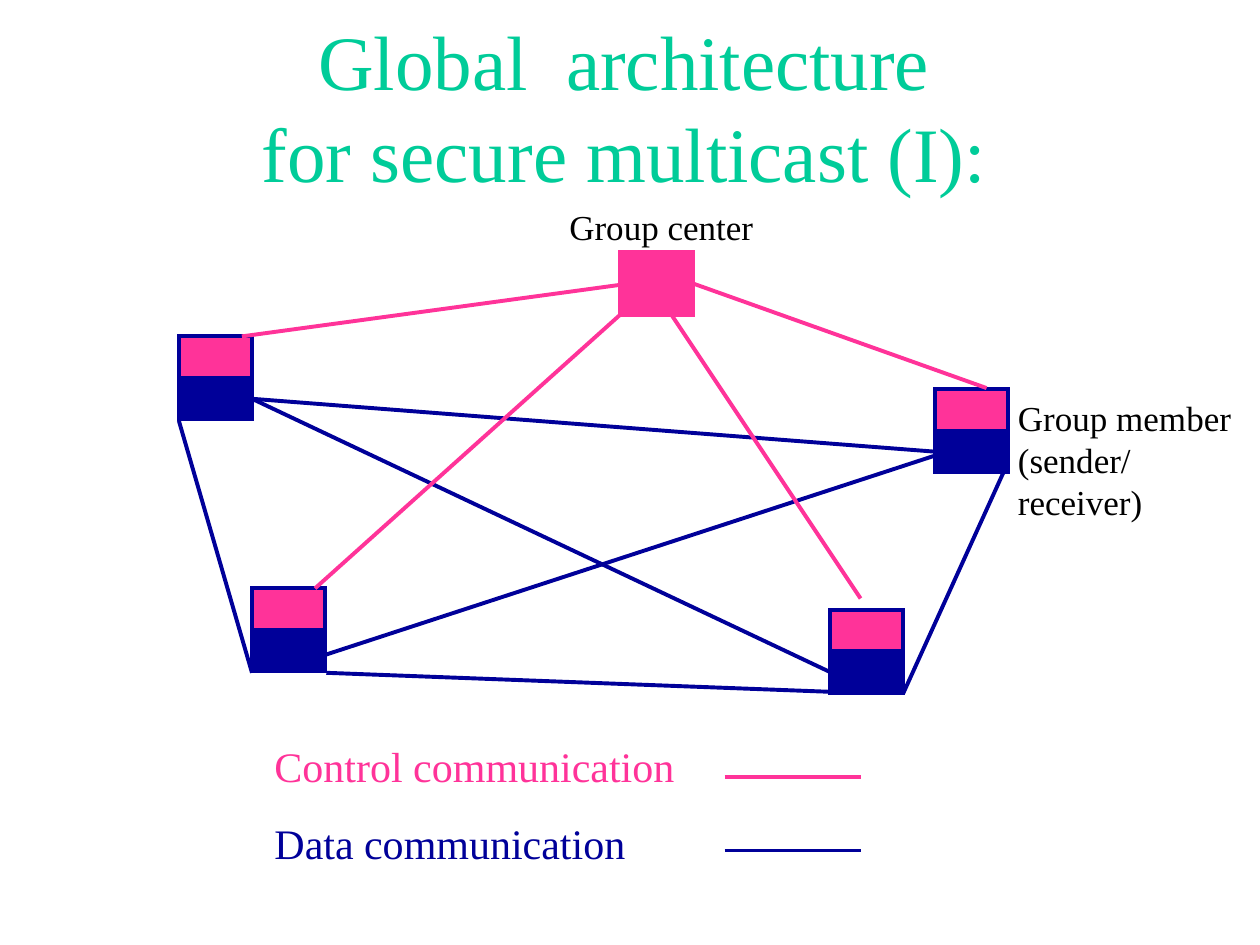
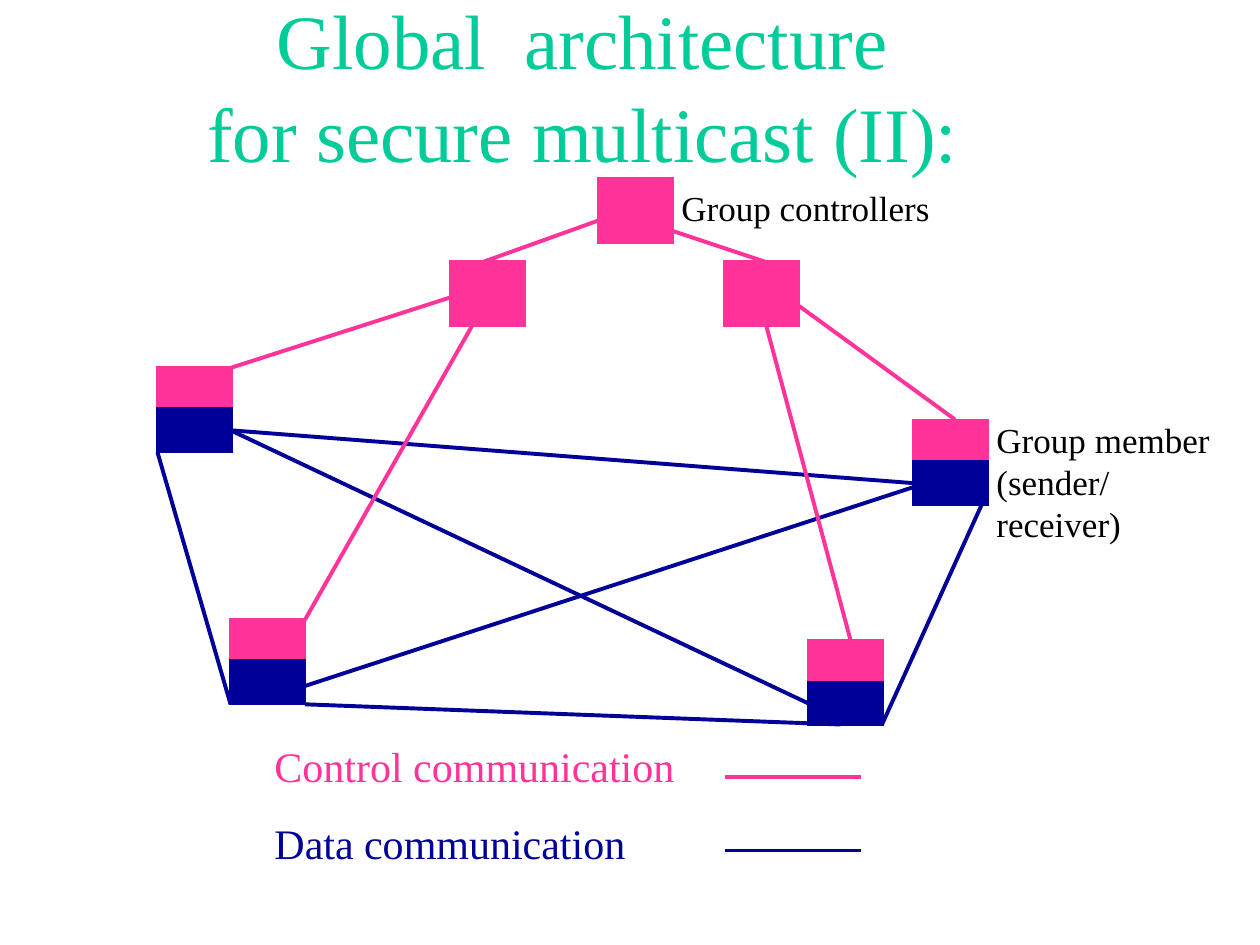
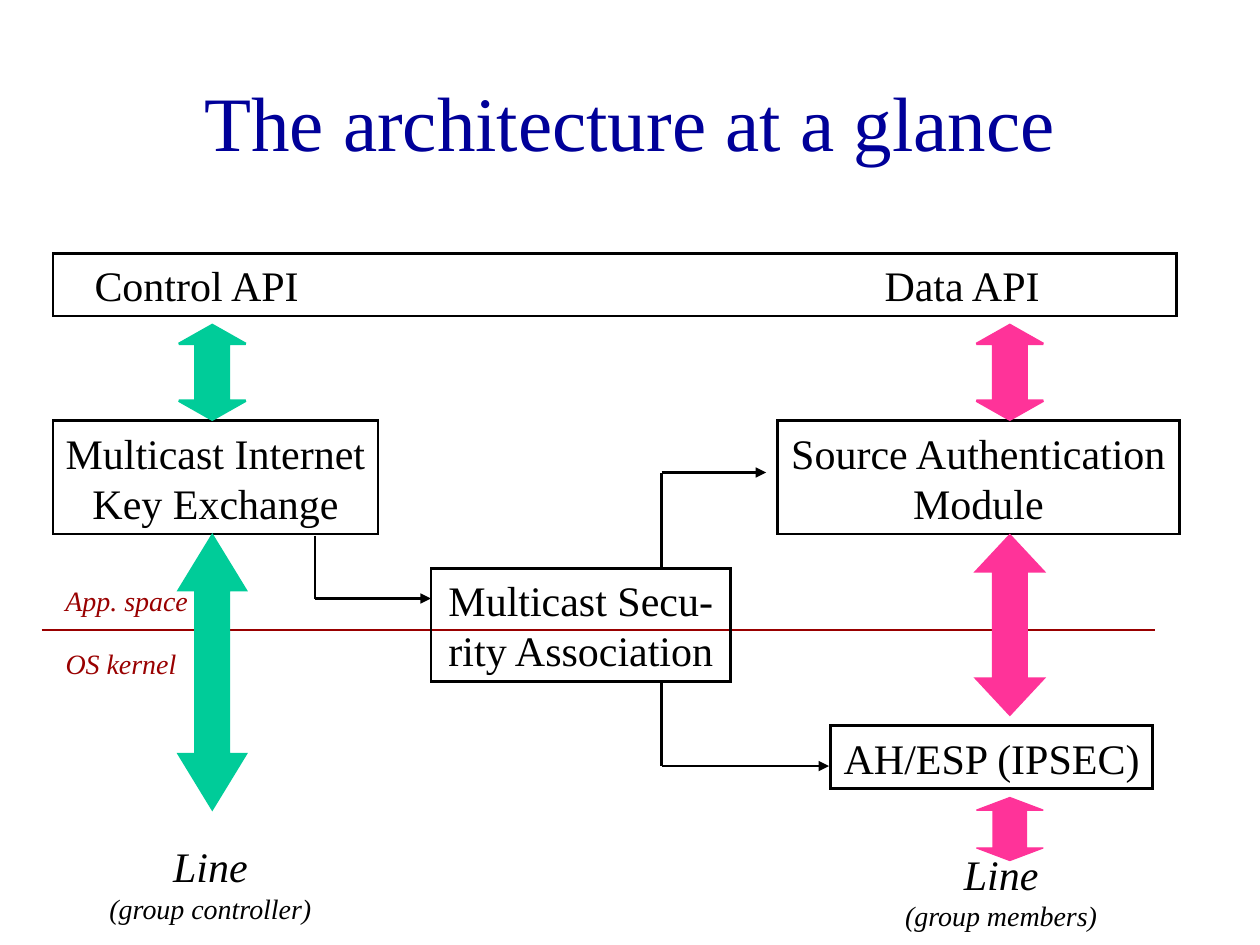
import collections
import dataclasses

import pptx
import pptx.dml.color
import pptx.enum.shapes
import pptx.enum.text
import pptx.oxml.ns
import pptx.util
import lxml.etree

Inches = pptx.util.Inches
SHAPE = pptx.enum.shapes.MSO_SHAPE
ALIGN = pptx.enum.text.PP_ALIGN
ANCHOR = pptx.enum.text.MSO_ANCHOR

# A connection site on a shape: 0 top, 1 left, 2 bottom, 3 right
Port = collections.namedtuple("Port", "shape site")


@dataclasses.dataclass(frozen=True)
class Theme:
    font: str = "Times New Roman"
    control: str = "FF3399"
    data: str = "000099"
    accent: str = "00CC99"
    boundary: str = "990000"
    ink: str = "000000"
    title_size: int = 44
    body_size: int = 24
    label_size: int = 20
    note_size: int = 16
    network_line: float = 2.25
    diagram_line: float = 1.5
    fine_line: float = 0.75


THEME = Theme()
NODE_WIDTH, NODE_HEIGHT, HALF_HEIGHT = 0.58, 0.5, 0.33


def rgb(color):
    return pptx.dml.color.RGBColor.from_string(color)


def drawing_element(parent, tag, **attributes):
    return lxml.etree.SubElement(parent, pptx.oxml.ns.qn(tag), attributes)


# ---- Shared building blocks ----

def write_text(shape, lines, size=THEME.body_size, sizes=None, color=THEME.ink,
               colors=None, italic=False, align=ALIGN.LEFT, anchor=ANCHOR.TOP,
               wrap=False, space_before=0, left_inset=0.1, bottom_inset=0.05,
               tab=None):
    """Fill a shape with one paragraph per line; sizes and colors vary by line."""
    frame = shape.text_frame
    frame.word_wrap = wrap
    if not wrap:
        frame.auto_size = pptx.enum.text.MSO_AUTO_SIZE.SHAPE_TO_FIT_TEXT
    frame.vertical_anchor = anchor
    frame.margin_left, frame.margin_right = Inches(left_inset), Inches(0.1)
    frame.margin_top, frame.margin_bottom = Inches(0.05), Inches(bottom_inset)
    for index, line in enumerate(lines):
        paragraph = frame.add_paragraph() if index else frame.paragraphs[0]
        paragraph.text = line
        paragraph.alignment = align
        if index and space_before:
            paragraph.space_before = pptx.util.Pt(space_before)
        if tab:
            tabs = drawing_element(paragraph._p.get_or_add_pPr(), "a:tabLst")
            drawing_element(tabs, "a:tab", pos=str(Inches(tab)), algn="l")
        for run in paragraph.runs:
            run.font.name = THEME.font
            run.font.size = pptx.util.Pt(sizes[index] if sizes else size)
            run.font.color.rgb = rgb(colors[index] if colors else color)
            run.font.italic = italic


def add_text(slide, box, lines, **text_format):
    shape = slide.shapes.add_textbox(*map(Inches, box))
    write_text(shape, lines, **text_format)


def add_shape(slide, kind, box, fill, line, width):
    shape = slide.shapes.add_shape(kind, *map(Inches, box))
    shape.shadow.inherit = False
    if fill:
        shape.fill.solid()
        shape.fill.fore_color.rgb = rgb(fill)
    else:
        shape.fill.background()
    shape.line.color.rgb = rgb(line)
    shape.line.width = pptx.util.Pt(width)
    # Square corners
    drawing_element(shape.line._get_or_add_ln(), "a:miter", lim="800000")
    return shape


def add_line(slide, start, end, color, width=THEME.network_line, arrow=False):
    """Draw a straight line between points or ports."""
    points = [(0, 0) if isinstance(stop, Port) else stop for stop in (start, end)]
    connector = slide.shapes.add_connector(
        pptx.enum.shapes.MSO_CONNECTOR.STRAIGHT,
        *(Inches(value) for point in points for value in point))
    if isinstance(start, Port):
        connector.begin_connect(*start)
    if isinstance(end, Port):
        connector.end_connect(*end)
    connector.line.color.rgb = rgb(color)
    connector.line.width = pptx.util.Pt(width)
    if arrow:
        drawing_element(connector.line._get_or_add_ln(), "a:tailEnd", type="triangle")
    drawing_element(connector._element.spPr, "a:effectLst")


def add_title(slide, box, text, color=THEME.accent, **text_format):
    add_text(slide, box, [text], size=THEME.title_size, color=color,
             align=ALIGN.CENTER, wrap=True, **text_format)


# ---- Multicast network ----

def add_node(slide, left, top, color, height=NODE_HEIGHT, outline=None):
    return add_shape(slide, SHAPE.FLOWCHART_PROCESS, (left, top, NODE_WIDTH, height),
                     color, outline or color, THEME.network_line)


def add_members(slide, left, top, outline):
    """Four group members joined by data lines, placed from the west member."""
    def at(x, y):
        return left + x, top + y

    data_halves = []
    for x, y in ((0, 0), (0.58, 2), (5.17, 2.17), (6, 0.42)):
        add_node(slide, *at(x, y), THEME.control, HALF_HEIGHT, outline)
        data_halves.append(
            add_node(slide, *at(x, y + HALF_HEIGHT), THEME.data, HALF_HEIGHT))
    west, _, south_east, east = data_halves
    for start, end in (
        (at(0, 0.67), at(0.58, 2.67)),
        (at(1.17, 2.67), at(5.42, 2.83)),
        (at(5.75, 2.83), at(6.58, 1)),
        (Port(west, 3), Port(east, 1)),
        (Port(west, 3), Port(south_east, 1)),
        (at(1, 2.58), at(6.08, 0.92)),
    ):
        add_line(slide, start, end, THEME.data)


def add_legend(slide, left, top):
    colors = (THEME.control, THEME.data)
    add_text(slide, (left, top, 3.75, 1.11),
             ["Control communication", "Data communication"],
             colors=colors, wrap=True, space_before=15)
    for color, offset in zip(colors, (0.34, 0.92)):
        add_line(slide, (left + 3.67, top + offset), (left + 4.75, top + offset), color)


def build_network(slide, title, title_box, members_at, outline, labels):
    # The bottom inset lifts the two title lines above the diagram
    add_title(slide, title_box, title, anchor=ANCHOR.BOTTOM, bottom_inset=0.26)
    add_members(slide, *members_at, outline)
    add_legend(slide, 2.08, 5.83)
    for box, lines in labels:
        add_text(slide, box, lines, size=THEME.label_size)


MEMBER_LABEL = ["Group member", "(sender/receiver)"]


def build_single_center(slide):
    build_network(slide, "Global  architecture\vfor secure multicast (I):",
                  (0.33, 0.58, 9.25, 1.25), (1.42, 2.67), THEME.data,
                  [((4.42, 1.58, 1.66, 0.44), ["Group center"]),
                   ((7.98, 3.1, 2.08, 0.77), MEMBER_LABEL)])
    center = add_node(slide, 4.92, 2, THEME.control)
    for start, end in (
        ((5, 2.25), (1.92, 2.67)),
        ((5.33, 2.5), (6.83, 4.75)),
        (Port(center, 3), (7.83, 3.08)),
        ((4.92, 2.5), (2.5, 4.67)),
    ):
        add_line(slide, start, end, THEME.control)


def build_controller_tree(slide):
    build_network(slide, "Global  architecture\vfor secure multicast (II):",
                  (0, 0.42, 9.25, 1.25), (1.25, 2.92), THEME.control,
                  [((5.31, 1.43, 2.17, 0.44), ["Group controllers"]),
                   ((7.81, 3.27, 2.08, 0.77), MEMBER_LABEL)])
    for left, top in ((4.75, 1.42), (3.58, 2.08), (5.75, 2.08)):
        add_node(slide, left, top, THEME.control)
    for start, end in (
        ((1.83, 2.92), (3.67, 2.33)),
        ((2.42, 4.92), (3.75, 2.58)),
        ((6.08, 2.58), (6.75, 5.08)),
        ((6.33, 2.42), (7.58, 3.33)),
        ((4.75, 1.75), (3.83, 2.08)),
        ((5.33, 1.83), (6.08, 2.08)),
    ):
        add_line(slide, start, end, THEME.control)


# ---- Architecture overview ----

def add_module(slide, box, lines, **text_format):
    shape = add_shape(slide, SHAPE.RECTANGLE, box, None, THEME.ink, THEME.diagram_line)
    options = {"align": ALIGN.CENTER, "anchor": ANCHOR.MIDDLE, **text_format}
    write_text(shape, lines, **options)


def add_double_arrow(slide, left, top, height, color, line_width=THEME.diagram_line):
    width = 0.53
    arrow = add_shape(slide, SHAPE.UP_DOWN_ARROW, (left, top, width, height),
                      color, color, line_width)
    # The shaft is half the width; each head takes a fifth of the length.
    # The guides are written directly so that each has its own name.
    head = 0.2 * height / min(width, height)
    guides = arrow._element.spPr.find(pptx.oxml.ns.qn("a:prstGeom")).get_or_add_avLst()
    guides.clear()
    for name, share in (("adj1", 0.5), ("adj2", head)):
        drawing_element(guides, "a:gd", name=name, fmla=f"val {round(share * 100000)}")


def add_elbow(slide, start, corner, end):
    add_line(slide, start, corner, THEME.ink, THEME.diagram_line)
    add_line(slide, corner, end, THEME.ink, THEME.diagram_line, arrow=True)


def build_overview(slide):
    add_title(slide, (0.75, 0.33, 8.5, 1.25), "The architecture at a glance",
              color=THEME.data, anchor=ANCHOR.MIDDLE)

    # Border between application and kernel
    add_line(slide, (0.33, 5), (9.17, 5), THEME.boundary, THEME.diagram_line)

    # Modules
    add_module(slide, (0.42, 2.01, 8.92, 0.5), ["Control API\tData API"],
               align=ALIGN.LEFT, wrap=True, left_inset=0.33, tab=6.27)
    for box, lines in (
        ((0.42, 3.34, 2.58, 0.9), ["Multicast Internet", "Key Exchange"]),
        ((6.17, 3.34, 3.19, 0.9), ["Source Authentication", "Module"]),
        ((6.59, 5.76, 2.56, 0.5), ["AH/ESP (IPSEC)"]),
        ((3.42, 4.51, 2.38, 0.9), ["Multicast Secu-", "rity Association"]),
    ):
        add_module(slide, box, lines)

    # Control column and data column
    for left, color, long_arrow in ((1.42, THEME.accent, 2.17),
                                    (7.75, THEME.control, 1.42)):
        add_double_arrow(slide, left, 2.58, 0.75, color)
        add_double_arrow(slide, left, 4.25, long_arrow, color)
    add_double_arrow(slide, 7.75, 6.33, 0.5, THEME.control, THEME.fine_line)

    # Paths through the security association
    add_elbow(slide, (2.5, 4.25), (2.5, 4.75), (3.42, 4.75))
    add_elbow(slide, (5.25, 4.5), (5.25, 3.75), (6.08, 3.75))
    add_elbow(slide, (5.25, 5.42), (5.25, 6.08), (6.58, 6.08))

    # Captions
    for box, role in (((0.76, 6.62, 1.82, 0.77), "(group controller)"),
                      ((7, 6.68, 1.89, 0.77), "(group members)")):
        add_text(slide, box, ["Line", role], sizes=(THEME.body_size, THEME.note_size),
                 italic=True, align=ALIGN.CENTER, anchor=ANCHOR.MIDDLE)
    for box, space in (((0.42, 5.08, 1.08, 0.37), "OS kernel"),
                       ((0.42, 4.58, 1.17, 0.37), "App. space")):
        add_text(slide, box, [space], size=THEME.note_size, color=THEME.boundary,
                 italic=True, align=ALIGN.CENTER, anchor=ANCHOR.MIDDLE)


def main():
    presentation = pptx.Presentation()
    presentation.slide_width, presentation.slide_height = Inches(10), Inches(7.5)
    for build in (build_single_center, build_controller_tree, build_overview):
        build(presentation.slides.add_slide(presentation.slide_layouts[6]))
    presentation.save("out.pptx")


if __name__ == "__main__":
    main()
